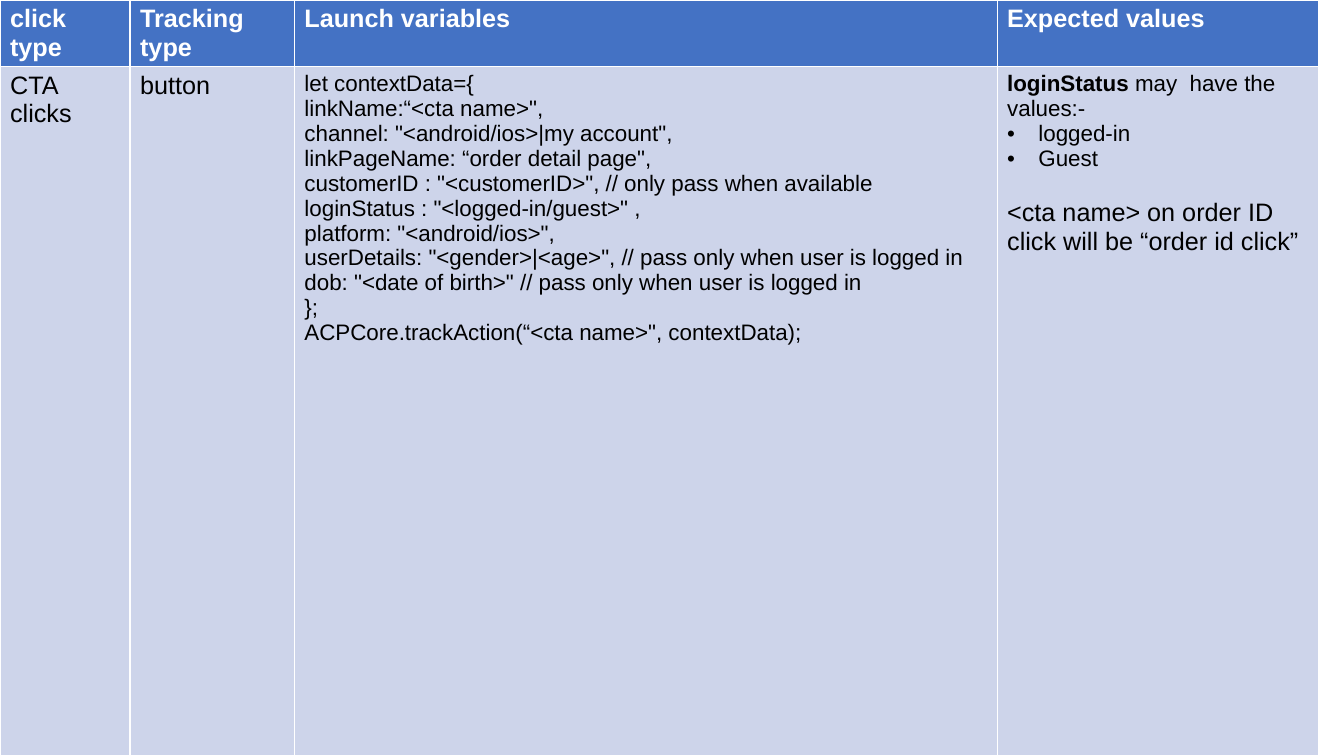
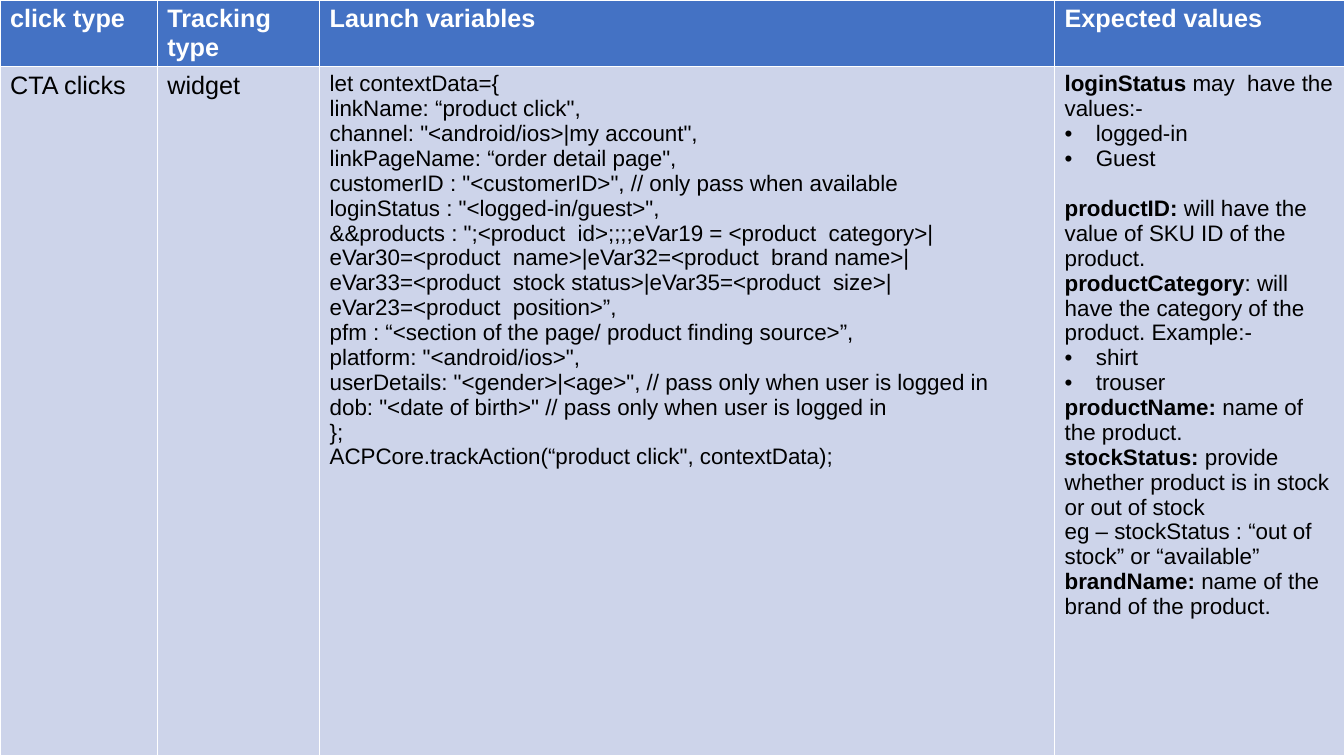
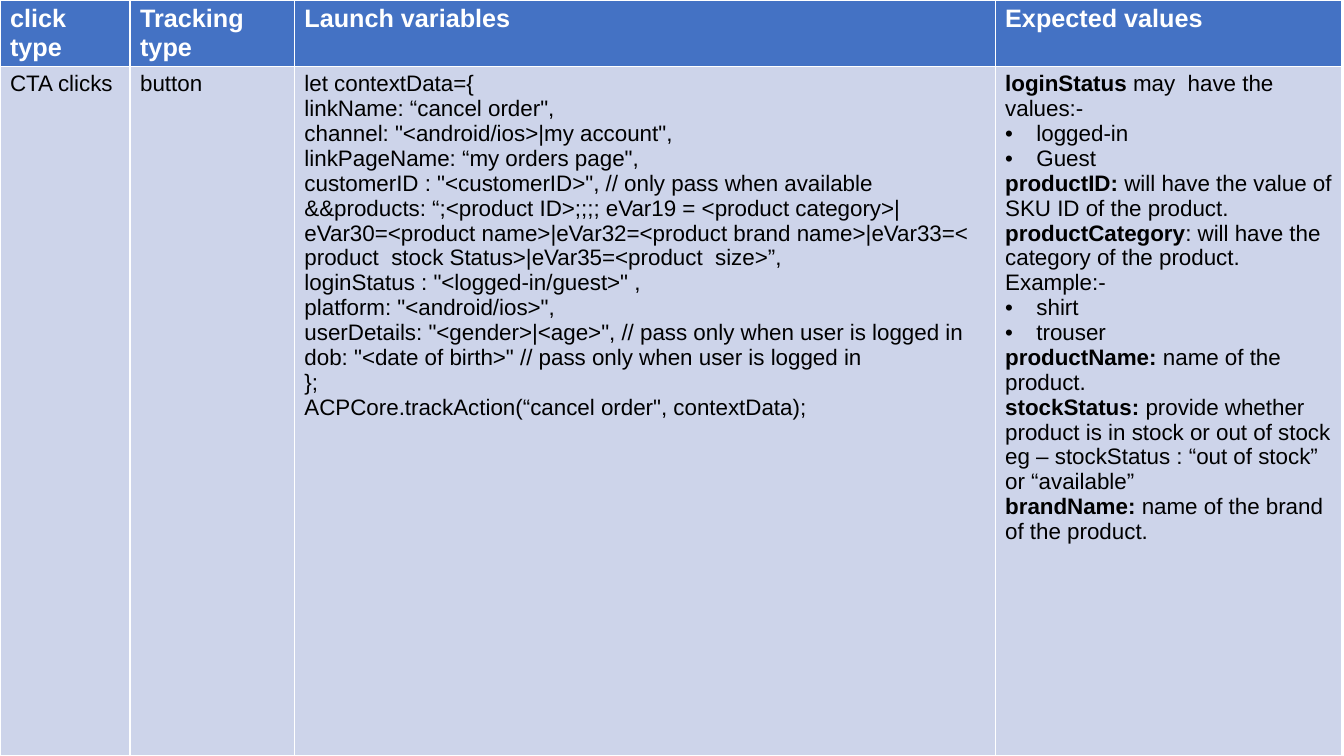
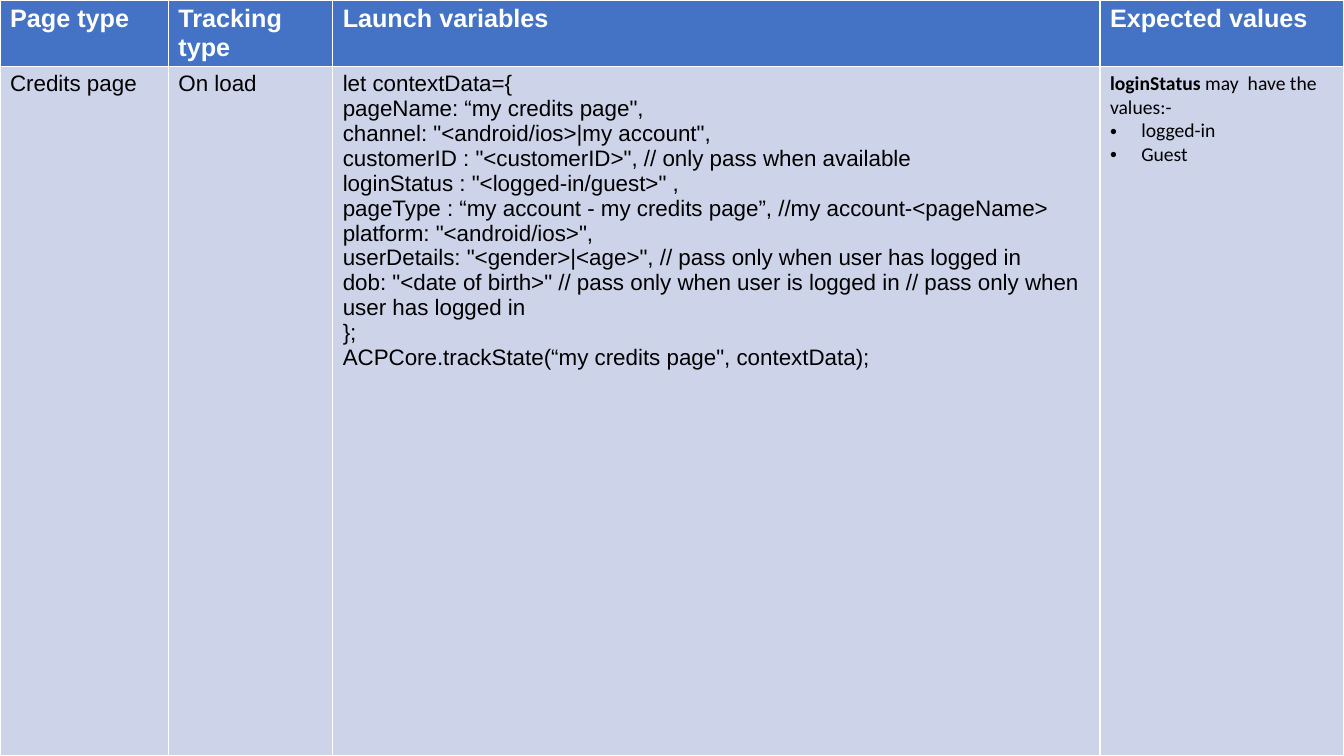
from pptx import Presentation
from pptx.dml.color import RGBColor
from pptx.oxml.ns import qn
from pptx.util import Inches, Pt
from lxml.etree import SubElement

BLUE = RGBColor(0x44, 0x72, 0xC4)
PALE = RGBColor(0xCD, 0xD4, 0xEA)
WHITE = RGBColor(0xFF, 0xFF, 0xFF)
BLACK = RGBColor(0, 0, 0)

CHANNEL = 'channel: "<android/ios>|my account",'
CUSTOMER = 'customerID : "<customerID>", // only pass when available'
LOGIN = 'loginStatus : "<logged-in/guest>" ,'
PLATFORM = 'platform: "<android/ios>",'
USER = [
    PLATFORM,
    'userDetails: "<gender>|<age>", // pass only when user is logged in',
    'dob: "<date of birth>" // pass only when user is logged in',
]


def para(text, term="", bullet=False, before=0, size=None):
    return dict(text=text, term=term, bullet=bullet, before=before, size=size)


def bullets(*texts):
    return [para(text, bullet=True) for text in texts]


def product_values(before=0):
    return [
        para(" will have the value of SKU ID of the product.", "productID:", before=before),
        para(": will have the category of the product. Example:-", "productCategory"),
        *bullets("shirt", "trouser"),
        para("name of the product.", "productName: "),
        para("provide whether product is in stock or out of stock", "stockStatus: "),
        para("eg – stockStatus : “out of stock” or “available”"),
        para("name of the brand of the product.", "brandName: "),
    ]


LOGIN_VALUES = [para("may  have the values:-", "loginStatus "), *bullets("logged-in", "Guest")]


def code(fields, call):
    return [para(text) for text in ["let contextData={", *fields, "};", call]]


def add_text(p, text, size=16, font="Arial", color=BLACK, bold=False):
    r = p.add_run()
    r.text = text
    r.font.size = Pt(size)
    r.font.name = font
    r.font.color.rgb = color
    r.font.bold = bold


class Deck:
    def __init__(self):
        self.prs = Presentation()
        self.prs.slide_width = Inches(13.33)
        self.prs.slide_height = Inches(7.5)
        self.s = None

    def slide(self):
        self.s = self.prs.slides.add_slide(self.prs.slide_layouts[6])

    def bullet(self, p):
        pPr = p._p.get_or_add_pPr()
        pPr.set("marL", str(Inches(0.31)))
        pPr.set("indent", str(-Inches(0.31)))
        SubElement(pPr, qn("a:buFont")).set("typeface", "Arial")
        SubElement(pPr, qn("a:buChar")).set("char", "•")

    def cell(self, cell, paras, fill, size=16, bold=False, **style):
        cell.fill.solid()
        cell.fill.fore_color.rgb = fill
        tf = cell.text_frame
        for i, item in enumerate(paras):
            p = tf.add_paragraph() if i else tf.paragraphs[0]
            if item["bullet"]:
                self.bullet(p)
            if item["before"]:
                p.space_before = Pt(item["before"])
            size_here = item["size"] or size
            if item["term"]:
                add_text(p, item["term"], size=size_here, bold=True, **style)
            add_text(p, item["text"], size=size_here, bold=bold, **style)

    def table(self, widths, kind, subject, tracking, variables, values,
              label_size=16, value_size=16, value_font="Arial"):
        heights = [0.66, 6.84]
        table = self.s.shapes.add_table(
            2, 4, 0, 0, Inches(sum(widths)), Inches(sum(heights))).table
        table.horz_banding = False
        for column, width in zip(table.columns, widths):
            column.width = Inches(width)
        for row, height in zip(table.rows, heights):
            row.height = Inches(height)
        headings = [kind, "Tracking type", "Launch variables", "Expected values"]
        for i, heading in enumerate(headings):
            self.cell(table.cell(0, i), [para(heading)], BLUE, size=18, bold=True, color=WHITE)
        for i, label in enumerate([subject, tracking]):
            self.cell(table.cell(1, i), [para(label)], PALE, size=label_size)
        self.cell(table.cell(1, 2), variables, PALE)
        self.cell(table.cell(1, 3), values, PALE, size=value_size, font=value_font)


def main():
    deck = Deck()

    deck.slide()
    deck.table(
        [1.29, 1.63, 6.97, 3.19], "click type", "CTA clicks", "button",
        code(['linkName:“<cta name>",', CHANNEL, 'linkPageName: “order detail page",',
              CUSTOMER, LOGIN, *USER],
             'ACPCore.trackAction(“<cta name>", contextData);'),
        LOGIN_VALUES + [para("<cta name> on order ID click will be “order id click”",
                             before=20, size=18)],
        label_size=18)

    deck.slide()
    deck.table(
        [1.56, 1.61, 7.29, 2.88], "click type", "CTA clicks", "widget",
        code(['linkName: “product click",', CHANNEL, 'linkPageName: “order detail page",',
              CUSTOMER, 'loginStatus : "<logged-in/guest>",',
              '&&products : ";<product  id>;;;;eVar19 = <product  category>|'
              'eVar30=<product  name>|eVar32=<product  brand name>|'
              'eVar33=<product  stock status>|eVar35=<product  size>|'
              'eVar23=<product  position>”,',
              'pfm : “<section of the page/ product finding source>”,', *USER],
             'ACPCore.trackAction(“product click", contextData);'),
        LOGIN_VALUES + product_values(before=18),
        label_size=18)

    deck.slide()
    deck.table(
        [1.29, 1.63, 6.95, 3.44], "click type", "CTA clicks", "button",
        code(['linkName: “cancel order",', CHANNEL, 'linkPageName: “my orders page",',
              CUSTOMER,
              '&&products: “;<product ID>;;;; eVar19 = <product category>|'
              'eVar30=<product name>|eVar32=<product brand name>|'
              'eVar33=< product  stock Status>|eVar35=<product  size>”,',
              LOGIN, *USER],
             'ACPCore.trackAction(“cancel order", contextData);'),
        LOGIN_VALUES + product_values())

    deck.slide()
    deck.table(
        [1.67, 1.63, 7.61, 2.42], "Page type", "Credits page", "On load",
        code(['pageName: “my credits page",', CHANNEL, CUSTOMER, LOGIN,
              'pageType : “my account - my credits page”, //my account-<pageName>',
              PLATFORM,
              'userDetails: "<gender>|<age>", // pass only when user has logged in',
              'dob: "<date of birth>" // pass only when user is logged in '
              '// pass only when user has logged in'],
             'ACPCore.trackState(“my credits page", contextData);'),
        LOGIN_VALUES, value_size=14, value_font="Calibri")

    deck.prs.save("out.pptx")


if __name__ == "__main__":
    main()
